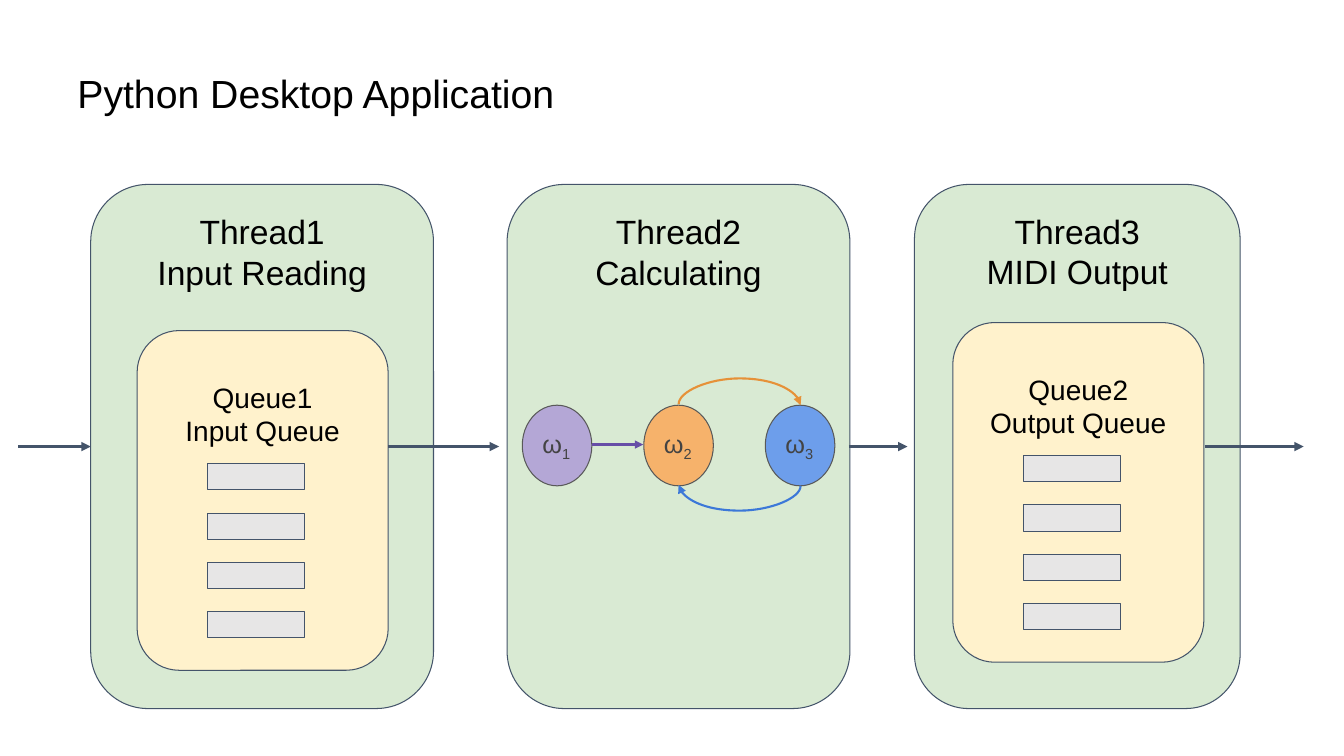
from pptx import Presentation
from pptx.dml.color import RGBColor
from pptx.enum.shapes import MSO_CONNECTOR as LINK, MSO_SHAPE as FORM
from pptx.enum.text import MSO_ANCHOR as ANCHOR, PP_ALIGN as ALIGN
from pptx.oxml.ns import qn
from pptx.util import Inches, Pt
from lxml.etree import SubElement

BLACK = RGBColor(0x00, 0x00, 0x00)
SLATE = RGBColor(0x44, 0x54, 0x6A)
GREEN = RGBColor(0xD9, 0xEA, 0xD3)
CREAM = RGBColor(0xFF, 0xF2, 0xCC)
GREY = RGBColor(0xE7, 0xE6, 0xE6)
RIM = RGBColor(0x59, 0x59, 0x59)
INK = RGBColor(0x43, 0x43, 0x43)
LILAC = RGBColor(0xB4, 0xA7, 0xD6)
PEACH = RGBColor(0xF6, 0xB2, 0x6B)
SKY = RGBColor(0x6D, 0x9E, 0xEB)
PURPLE = RGBColor(0x67, 0x4E, 0xA7)
ORANGE = RGBColor(0xE6, 0x91, 0x38)
BLUE = RGBColor(0x3C, 0x78, 0xD8)

deck = Presentation()
deck.slide_width, deck.slide_height = Inches(13.33), Inches(7.5)
slide = deck.slides.add_slide(deck.slide_layouts[6])
shapes = slide.shapes


def add_box(form, left, top, width, height, fill, edge=SLATE, lines=(), size=24, inset=0.1):
    box = shapes.add_shape(form, Inches(left), Inches(top), Inches(width), Inches(height))
    box.shadow.inherit = False
    box.fill.solid()
    box.fill.fore_color.rgb = fill
    box.line.color.rgb = edge
    box.line.width = Pt(0.75)
    frame = box.text_frame
    frame.word_wrap = True
    frame.vertical_anchor = ANCHOR.TOP
    frame.margin_left = frame.margin_right = frame.margin_bottom = Inches(0.1)
    frame.margin_top = Inches(inset)
    for i, line in enumerate(lines):
        para = frame.add_paragraph() if i else frame.paragraphs[0]
        para.text = line
        para.alignment = ALIGN.CENTER
        para.font.name = "Arial"
        para.font.size = Pt(size)
        para.font.color.rgb = BLACK
    return box


def add_link(kind, start, stop, color, width, end="tailEnd"):
    link = shapes.add_connector(kind, *map(Inches, start + stop))
    link.line.color.rgb = color
    link.line.width = Pt(width)
    SubElement(link.line._get_or_add_ln(), qn("a:" + end), type="triangle")
    SubElement(link._element.spPr, qn("a:effectLst"))
    return link


threads = [
    (0.9, 3.4, "Thread1", "Input Reading"),
    (5.03, 3.4, "Thread2", "Calculating"),
    (9.07, 3.23, "Thread3", "MIDI Output"),
]
for left, width, *lines in threads:
    panel = add_box(FORM.ROUNDED_RECTANGLE, left, 1.83, width, 5.2, GREEN, lines=lines)
    panel.adjustments[0] = 0.167

queues = [
    (1.36, 3.28, "Queue1", "Input Queue"),
    (9.45, 3.2, "Queue2", "Output Queue"),
]
for left, top, *lines in queues:
    queue = add_box(FORM.ROUNDED_RECTANGLE, left, top, 2.49, 3.37, CREAM,
                    lines=lines, size=20, inset=0.37)
    queue.adjustments[0] = 0.167
    for row in range(4):
        add_box(FORM.RECTANGLE, left + 0.7, top + 1.32 + 0.49 * row, 0.96, 0.26, GREY)

for start, stop in [(0.18, 0.9), (3.85, 4.95), (8.42, 9), (11.95, 12.93)]:
    add_link(LINK.STRAIGHT, (start, 4.43), (stop, 4.43), SLATE, 2.25)

for i, fill in enumerate([LILAC, PEACH, SKY]):
    node = add_box(FORM.OVAL, 5.18 + 1.205 * i, 4.02, 0.69, 0.8, fill, RIM)
    node.text_frame.vertical_anchor = ANCHOR.MIDDLE
    para = node.text_frame.paragraphs[0]
    para.alignment = ALIGN.LEFT
    para.font.name = "Arial"
    para.font.size = Pt(18)
    para.font.color.rgb = INK
    para.add_run().text = "ω"
    index = para.add_run()
    index.text = str(i + 1)
    index.font._element.set("baseline", "-25000")

add_link(LINK.STRAIGHT, (5.87, 4.41), (6.38, 4.41), PURPLE, 1.5)

arcs = [(3.41, ORANGE, "tailEnd", -2600000), (4.21, BLUE, "headEnd", 2600000)]
for top, color, end, bend in arcs:
    arc = add_link(LINK.CURVE, (7.34, top), (7.33, top + 1.21), color, 1.5, end)
    props = arc._element.spPr
    props.find(qn("a:xfrm")).set("rot", "16200000")
    guides = props.find(qn("a:prstGeom")).find(qn("a:avLst"))
    SubElement(guides, qn("a:gd"), name="adj1", fmla=f"val {bend}")

title = shapes.add_textbox(Inches(0.67), Inches(0.3), Inches(12), Inches(1.25))
frame = title.text_frame
frame.word_wrap = True
frame.vertical_anchor = ANCHOR.MIDDLE
para = frame.paragraphs[0]
para.text = "Python Desktop Application"
para.font.name = "Arial"
para.font.size = Pt(28)
para.font.color.rgb = BLACK

deck.save("out.pptx")
